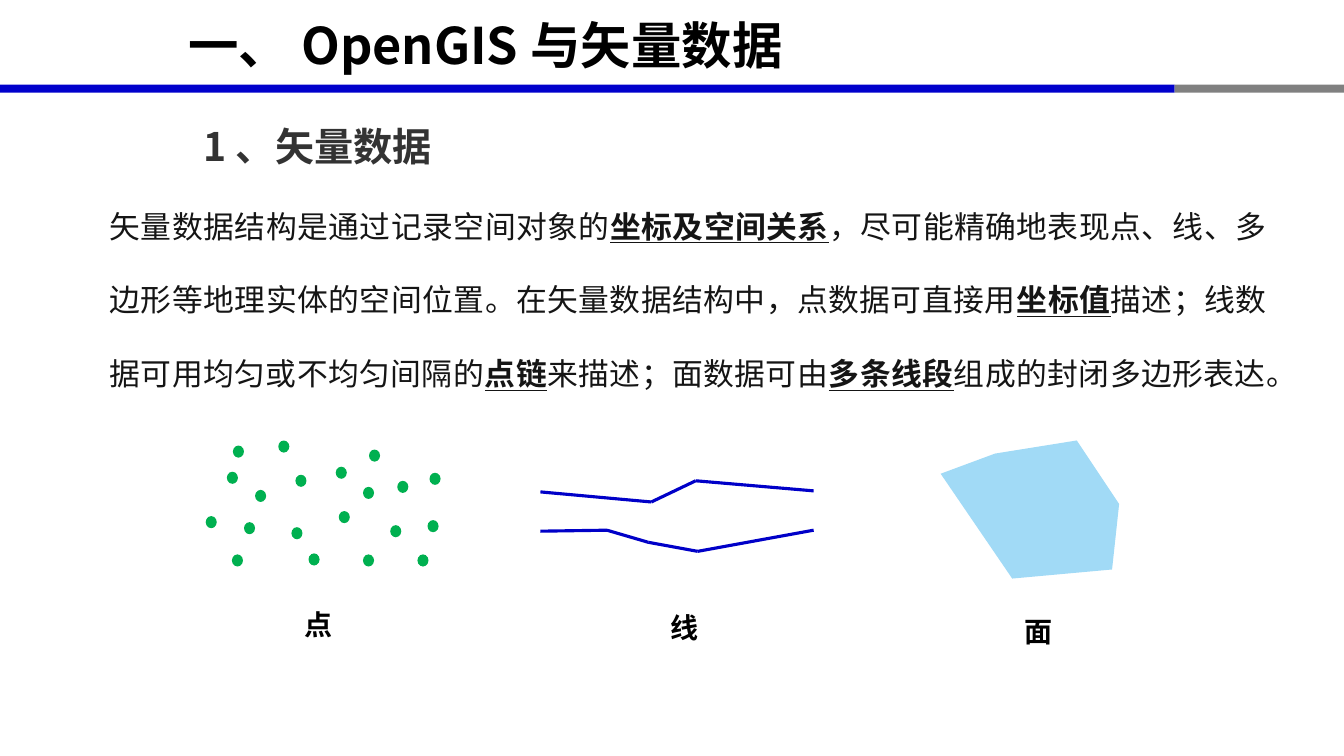
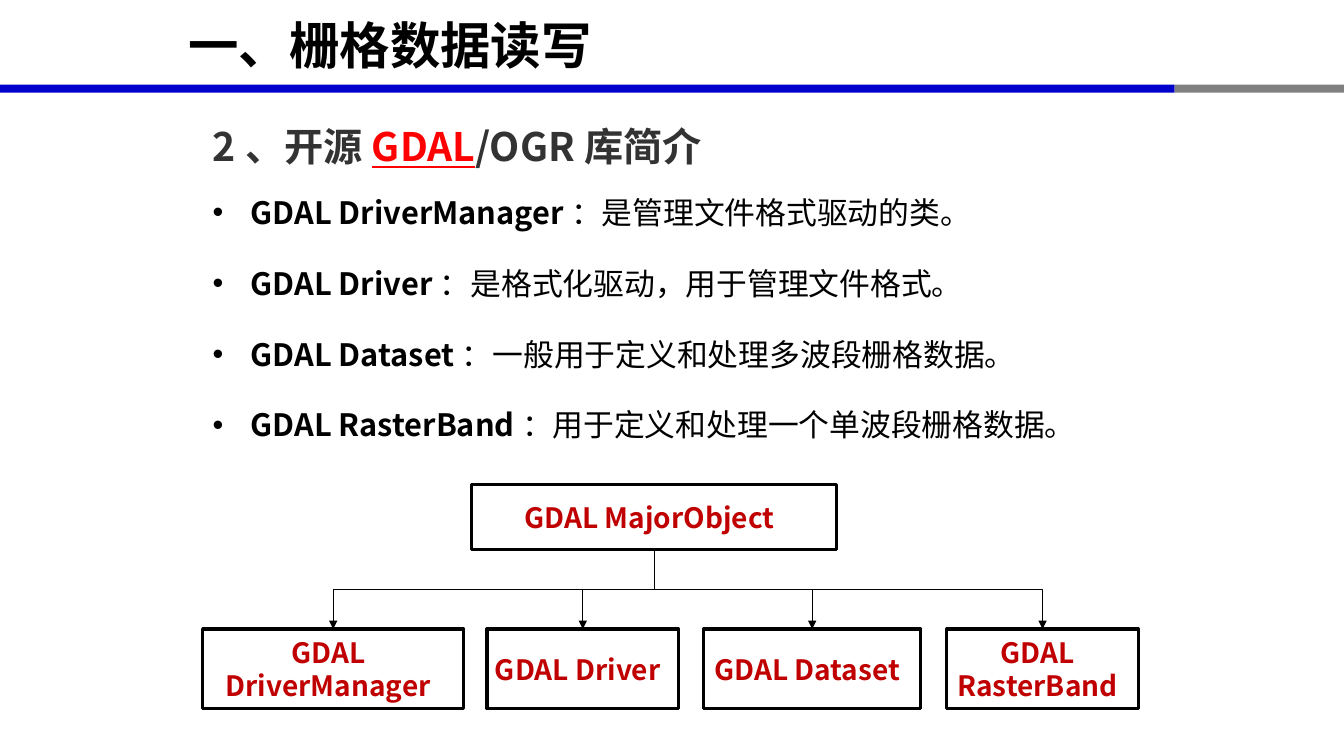
from dataclasses import dataclass, replace
from itertools import pairwise

from lxml.etree import SubElement
from pptx import Presentation
from pptx.dml.color import RGBColor
from pptx.enum.shapes import MSO_CONNECTOR as Connector, MSO_SHAPE as Preset
from pptx.enum.text import MSO_ANCHOR as Anchor, MSO_AUTO_SIZE as AutoSize, PP_ALIGN as Align
from pptx.oxml.ns import qn
from pptx.util import Inches, Pt


@dataclass(frozen=True)
class Theme:
    font: str = "Noto Sans CJK SC"
    black: str = "000000"
    heading: str = "333333"
    body: str = "151515"
    red: str = "FF0000"
    box_text: str = "C00000"
    band: str = "0000CC"
    band_end: str = "808080"
    point: str = "00B050"
    line: str = "0000C8"
    area: str = "A1DAF6"
    title_size: int = 36
    heading_size: int = 28
    body_size: int = 22
    label_size: int = 20
    thick: float = 2.25
    thin: float = 0.75


@dataclass(frozen=True)
class Style:
    size: int
    color: str
    bold: bool = False
    underline: bool = False


THEME = Theme()
TITLE = Style(THEME.title_size, THEME.black, bold=True)
HEADING = Style(THEME.heading_size, THEME.heading, bold=True)
HEADING_KEY = replace(HEADING, color=THEME.red, underline=True)
BODY = Style(THEME.body_size, THEME.body)
BODY_KEY = replace(BODY, bold=True, underline=True)
ITEM = Style(THEME.body_size, THEME.black)
ITEM_NAME = replace(ITEM, bold=True)
LABEL = Style(THEME.label_size, THEME.black, bold=True)
BOX = replace(LABEL, color=THEME.box_text)

DOT_SIZE = (0.11, 0.12)
DOTS = [
    (2.25, 4.68), (2.04, 5.12), (2.93, 4.71), (3.06, 5.49), (2.42, 5.18),
    (3.33, 4.63), (2.53, 4.86), (2.76, 4.37), (3.36, 5.07), (2.3, 5.5),
    (3.66, 4.46), (2.89, 5.23), (3.94, 4.77), (4.14, 5.5), (3.6, 4.83),
    (4.26, 4.69), (3.87, 5.21), (4.24, 5.16), (2.31, 4.42), (3.6, 5.5),
]
POLYLINES = [
    [(5.36, 4.88), (6.46, 4.98), (6.9, 4.77), (8.07, 4.87)],
    [(5.36, 5.27), (6.02, 5.26), (6.43, 5.38), (6.92, 5.47), (8.07, 5.26)],
]
POLYGON = [(9.87, 4.5), (10.68, 4.37), (11.1, 5), (11.03, 5.65), (10.04, 5.74), (9.33, 4.7)]
LABELS = [("点", 2.55, 5.98), ("线", 6.18, 6.01), ("面", 9.7, 6.05)]

DEFINITION = [
    ("矢量数据结构是通过记录空间对象的", BODY),
    ("坐标及空间关系", BODY_KEY),
    ("，尽可能精确地表现点、线、多边形等地理实体的空间位置。在矢量数据结构中，点数据可直接用", BODY),
    ("坐标值", BODY_KEY),
    ("描述；线数据可用均匀或不均匀间隔的", BODY),
    ("点链", BODY_KEY),
    ("来描述；面数据可由", BODY),
    ("多条线段", BODY_KEY),
    ("组成的封闭多边形表达。", BODY),
]
CLASSES = [
    ("GDAL DriverManager", "：是管理文件格式驱动的类。"),
    ("GDAL Driver", "：是格式化驱动，用于管理文件格式。"),
    ("GDAL Dataset", "：一般用于定义和处理多波段栅格数据。"),
    ("GDAL RasterBand", "：用于定义和处理一个单波段栅格数据。"),
]
CHILD_PLACES = [(2.01, 2.59), (4.83, 1.9), (6.98, 2.15), (9.39, 1.9)]


def rgb(color):
    return RGBColor.from_string(color)


def set_indent(paragraph, left, first):
    properties = paragraph._p.get_or_add_pPr()
    properties.set("marL", str(Inches(left)))
    properties.set("indent", str(Inches(first)))
    return properties


def add_bullet(paragraph):
    properties = set_indent(paragraph, 0.38, -0.38)
    SubElement(properties, qn("a:buFont")).set("typeface", "Arial")
    SubElement(properties, qn("a:buChar")).set("char", "•")


def add_runs(paragraph, runs):
    for text, style in runs:
        run = paragraph.add_run()
        run.text = text
        font = run.font
        font.size = Pt(style.size)
        font.bold = style.bold
        font.underline = style.underline
        font.color.rgb = rgb(style.color)
        font.name = THEME.font
        SubElement(run._r.get_or_add_rPr(), qn("a:ea")).set("typeface", THEME.font)


def fill_paragraph(paragraph, runs, align, spacing=1.0):
    paragraph.alignment = align
    paragraph.line_spacing = spacing
    paragraph.space_before = Pt(runs[0][1].size / 2)
    add_runs(paragraph, runs)


def add_text(slide, place, paragraphs, align=Align.LEFT, spacing=1.0, bullets=False):
    frame = slide.shapes.add_textbox(*map(Inches, place)).text_frame
    frame.word_wrap = True
    frame.auto_size = AutoSize.SHAPE_TO_FIT_TEXT
    for index, runs in enumerate(paragraphs):
        paragraph = frame.add_paragraph() if index else frame.paragraphs[0]
        fill_paragraph(paragraph, runs, align, spacing)
        if bullets:
            add_bullet(paragraph)


def add_filled(slide, preset, place, color):
    shape = slide.shapes.add_shape(preset, *map(Inches, place))
    shape.shadow.inherit = False
    shape.fill.solid()
    shape.fill.fore_color.rgb = rgb(color)
    shape.line.fill.background()


def add_polygon(slide, points, color):
    start, *rest = [(Inches(x), Inches(y)) for x, y in points]
    builder = slide.shapes.build_freeform(*start)
    builder.add_line_segments(rest, close=True)
    shape = builder.convert_to_shape()
    shape.shadow.inherit = False
    shape.fill.solid()
    shape.fill.fore_color.rgb = rgb(color)
    shape.line.fill.background()


def add_line(slide, kind, start, end, color, width):
    connector = slide.shapes.add_connector(kind, *map(Inches, (*start, *end)))
    connector.line.color.rgb = rgb(color)
    connector.line.width = Pt(width)
    SubElement(connector.element.spPr, qn("a:effectLst"))
    return connector


def add_box(slide, place, text):
    shape = slide.shapes.add_shape(Preset.RECTANGLE, *map(Inches, place))
    shape.shadow.inherit = False
    shape.fill.background()
    shape.line.color.rgb = rgb(THEME.black)
    shape.line.width = Pt(THEME.thick)
    frame = shape.text_frame
    frame.word_wrap = True
    frame.vertical_anchor = Anchor.MIDDLE
    frame.margin_left = 0
    fill_paragraph(frame.paragraphs[0], [(text, BOX)], Align.CENTER)
    return shape


def add_branch(slide, parent, child):
    connector = add_line(slide, Connector.ELBOW, (0, 0), (1, 1), THEME.black, THEME.thin)
    connector.begin_connect(parent, 2)
    connector.end_connect(child, 0)
    start_x, start_y = parent.left + parent.width // 2, parent.top + parent.height
    end_x, end_y = child.left + child.width // 2, child.top
    drop, reach = end_y - start_y, abs(end_x - start_x)
    connector.left = (start_x + end_x - drop) // 2
    connector.top = (start_y + end_y - reach) // 2
    connector.width, connector.height = drop, reach
    to_right = end_x > start_x
    transform = connector.element.spPr.find(qn("a:xfrm"))
    transform.set("rot", str((270 if to_right else 90) * 60000))
    transform.set("flipH", "1" if to_right else "0")
    transform.set("flipV", "0")
    outline = connector.element.spPr.find(qn("a:ln"))
    SubElement(outline, qn("a:tailEnd")).set("type", "triangle")


def add_base_slide(presentation, title):
    slide = presentation.slides.add_slide(presentation.slide_layouts[6])
    add_filled(slide, Preset.RECTANGLE, (0, 0.84, 11.65, 0.08), THEME.band)
    add_filled(slide, Preset.RECTANGLE, (11.65, 0.84, 1.68, 0.08), THEME.band_end)
    frame = slide.shapes.add_textbox(*map(Inches, (1.67, 0.01, 9.86, 0.87))).text_frame
    frame.word_wrap = True
    frame.vertical_anchor = Anchor.MIDDLE
    set_indent(frame.paragraphs[0], 0, 0.1)
    add_runs(frame.paragraphs[0], [(title, TITLE)])
    return slide


def add_heading(slide, left, width, runs):
    add_text(slide, (left, 0.93, width, 0.72), [runs], Align.JUSTIFY, 1.5)


def build_vector_slide(presentation):
    slide = add_base_slide(presentation, "一、OpenGIS与矢量数据")
    add_heading(slide, 1.92, 10.86, [("1、矢量数据", HEADING)])
    add_text(slide, (0.99, 1.64, 11.67, 2.21), [DEFINITION], Align.JUSTIFY, 2.0)
    for dot in DOTS:
        add_filled(slide, Preset.OVAL, (*dot, *DOT_SIZE), THEME.point)
    for polyline in POLYLINES:
        for start, end in pairwise(polyline):
            add_line(slide, Connector.STRAIGHT, start, end, THEME.line, THEME.thick)
    add_polygon(slide, POLYGON, THEME.area)
    for text, left, top in LABELS:
        add_text(slide, (left, top, 1.21, 0.44), [[(text, LABEL)]], Align.CENTER)


def build_raster_slide(presentation):
    slide = add_base_slide(presentation, "一、栅格数据读写")
    add_heading(slide, 2.01, 9.31, [
        ("2、开源", HEADING), ("GDAL", HEADING_KEY), ("/OGR库简介", HEADING),
    ])
    items = [[(name, ITEM_NAME), (role, ITEM)] for name, role in CLASSES]
    add_text(slide, (2.01, 1.69, 9.02, 2.81), items, spacing=1.5, bullets=True)
    parent = add_box(slide, (4.68, 4.81, 3.62, 0.64), "GDAL MajorObject")
    for (name, _), (left, width) in zip(CLASSES, CHILD_PLACES):
        child = add_box(slide, (left, 6.24, width, 0.79), name)
        add_branch(slide, parent, child)


def main():
    presentation = Presentation()
    presentation.slide_width = Inches(13.33)
    presentation.slide_height = Inches(7.5)
    build_vector_slide(presentation)
    build_raster_slide(presentation)
    presentation.save("out.pptx")


if __name__ == "__main__":
    main()
